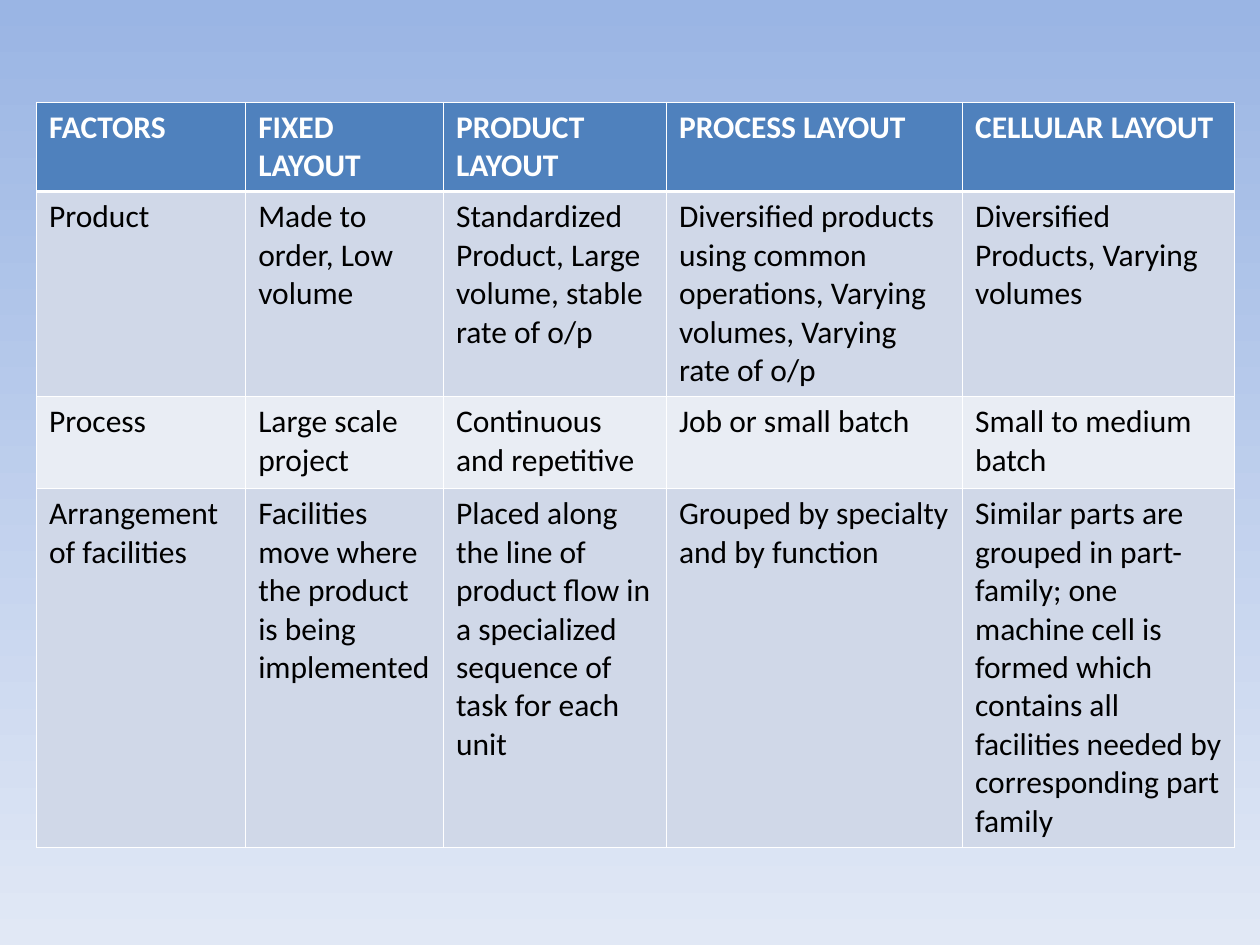
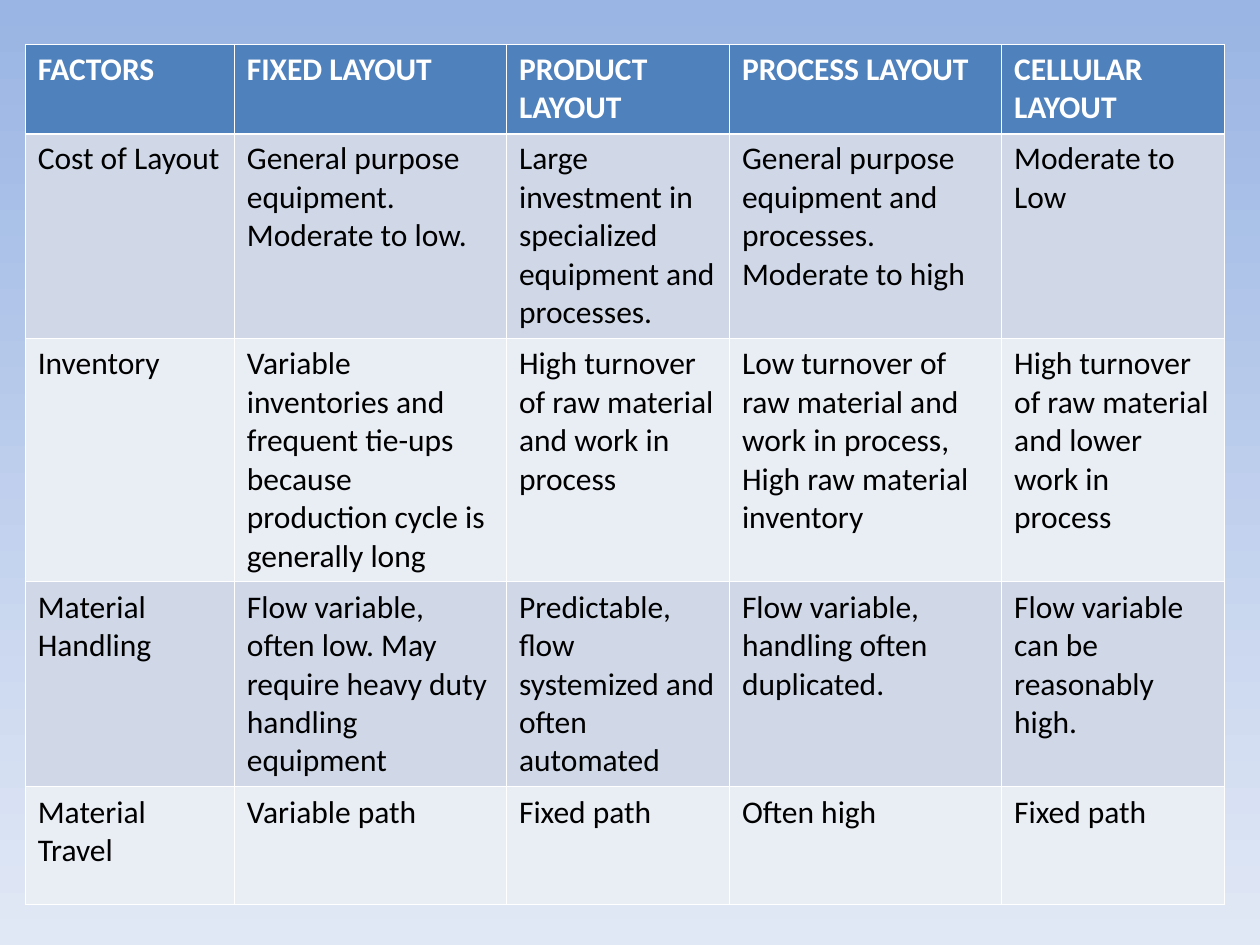
from dataclasses import dataclass

from lxml.etree import SubElement
from pptx import Presentation
from pptx.dml.color import RGBColor
from pptx.oxml.ns import qn
from pptx.util import Inches, Pt

# Shared look
SKY_TOP = RGBColor(0x9A, 0xB5, 0xE4)
SKY_BOTTOM = RGBColor(0xE1, 0xE8, 0xF5)
HEADER_FILL = RGBColor(0x4F, 0x81, 0xBD)
BAND_FILLS = (RGBColor(0xD0, 0xD8, 0xE8), RGBColor(0xE9, 0xED, 0xF4))
WHITE = RGBColor(0xFF, 0xFF, 0xFF)
BLACK = RGBColor(0x00, 0x00, 0x00)

THIN, THICK = Pt(0.45), Pt(1.47)
BODY_FONT = {"name": "Calibri", "size": Pt(18), "bold": False}
HEADER_FONT = BODY_FONT | {"bold": True}
HEADERS = ("FACTORS", "FIXED LAYOUT", "PRODUCT LAYOUT", "PROCESS LAYOUT", "CELLULAR LAYOUT")


@dataclass
class Comparison:
    """One slide's table; lengths are in inches."""
    left: float
    top: float
    col_widths: tuple[float, ...]
    row_heights: tuple[float, ...]
    factors: tuple[tuple[str, ...], ...]


COMPARISONS = (
    Comparison(
        0.29, 0.81, (1.66, 1.57, 1.77, 2.35, 2.16), (0.7, 1.6, 0.73, 2.8),
        (
            ("Product",
             "Made to order, Low volume",
             "Standardized Product, Large volume, stable rate of o/p",
             "Diversified products using common operations, Varying volumes, Varying rate of o/p",
             "Diversified Products, Varying volumes"),
            ("Process",
             "Large scale project",
             "Continuous and repetitive",
             "Job or small batch",
             "Small to medium batch"),
            ("Arrangement of facilities",
             "Facilities move where the product is being implemented",
             "Placed along the line of product flow in a specialized sequence of task for each unit",
             "Grouped by specialty and by function",
             "Similar parts are grouped in part-family; one machine cell is formed which "
             "contains all facilities needed by corresponding part family"),
        ),
    ),
    Comparison(
        0.2, 0.35, (1.66, 2.16, 1.77, 2.16, 1.77), (0.7, 1.6, 1.9, 1.6, 0.93),
        (
            ("Cost of Layout",
             "General purpose equipment. Moderate to low.",
             "Large investment in specialized equipment and processes.",
             "General purpose equipment and processes.\nModerate to high",
             "Moderate to Low"),
            ("Inventory",
             "Variable inventories and frequent tie-ups because production cycle is generally long",
             "High turnover of raw material and work in process",
             "Low turnover of raw material and work in process, High raw material inventory",
             "High turnover of raw material and lower work in process"),
            ("Material Handling",
             "Flow variable, often low. May require heavy duty handling equipment",
             "Predictable, flow systemized and often automated",
             "Flow variable, handling often duplicated.",
             "Flow variable can be reasonably high."),
            ("Material Travel", "Variable path", "Fixed path", "Often high", "Fixed path"),
        ),
    ),
)


def paint_background(s) -> None:
    fill = s.background.fill
    fill.gradient()
    fill.gradient_angle = 270  # counter-clockwise, so top to bottom
    for stop, color in zip(fill.gradient_stops, (SKY_TOP, SKY_BOTTOM)):
        stop.color.rgb = color


def set_borders(cell, top: int, bottom: int) -> None:
    tc_pr = cell._tc.get_or_add_tcPr()
    for side, width in (("L", THIN), ("R", THIN), ("T", top), ("B", bottom)):
        ln = SubElement(tc_pr, qn(f"a:ln{side}"), w=str(int(width)))
        SubElement(SubElement(ln, qn("a:solidFill")), qn("a:srgbClr"), val=str(WHITE))


def format_cell(cell, text: str, row: int) -> None:
    is_header = row == 0
    # The rule under the header is thick
    set_borders(cell, THICK if row == 1 else THIN, THICK if is_header else THIN)
    cell.fill.solid()
    cell.fill.fore_color.rgb = HEADER_FILL if is_header else BAND_FILLS[(row - 1) % 2]
    cell.text = text
    for p in cell.text_frame.paragraphs:
        for r in p.runs:
            for name, value in (HEADER_FONT if is_header else BODY_FONT).items():
                setattr(r.font, name, value)
            r.font.color.rgb = WHITE if is_header else BLACK


def add_comparison(s, spec: Comparison) -> None:
    rows = (HEADERS, *spec.factors)
    table = s.shapes.add_table(
        len(rows), len(HEADERS), Inches(spec.left), Inches(spec.top),
        Inches(sum(spec.col_widths)), Inches(sum(spec.row_heights)),
    ).table
    for column, width in zip(table.columns, spec.col_widths):
        column.width = Inches(width)
    for row, height in zip(table.rows, spec.row_heights):
        row.height = Inches(height)
    for i, texts in enumerate(rows):
        for j, text in enumerate(texts):
            format_cell(table.cell(i, j), text, i)


def main() -> None:
    prs = Presentation()
    prs.slide_width, prs.slide_height = Inches(10), Inches(7.5)
    blank = prs.slide_layouts[6]
    for spec in COMPARISONS:
        s = prs.slides.add_slide(blank)
        paint_background(s)
        add_comparison(s, spec)
    prs.save("out.pptx")


if __name__ == "__main__":
    main()
